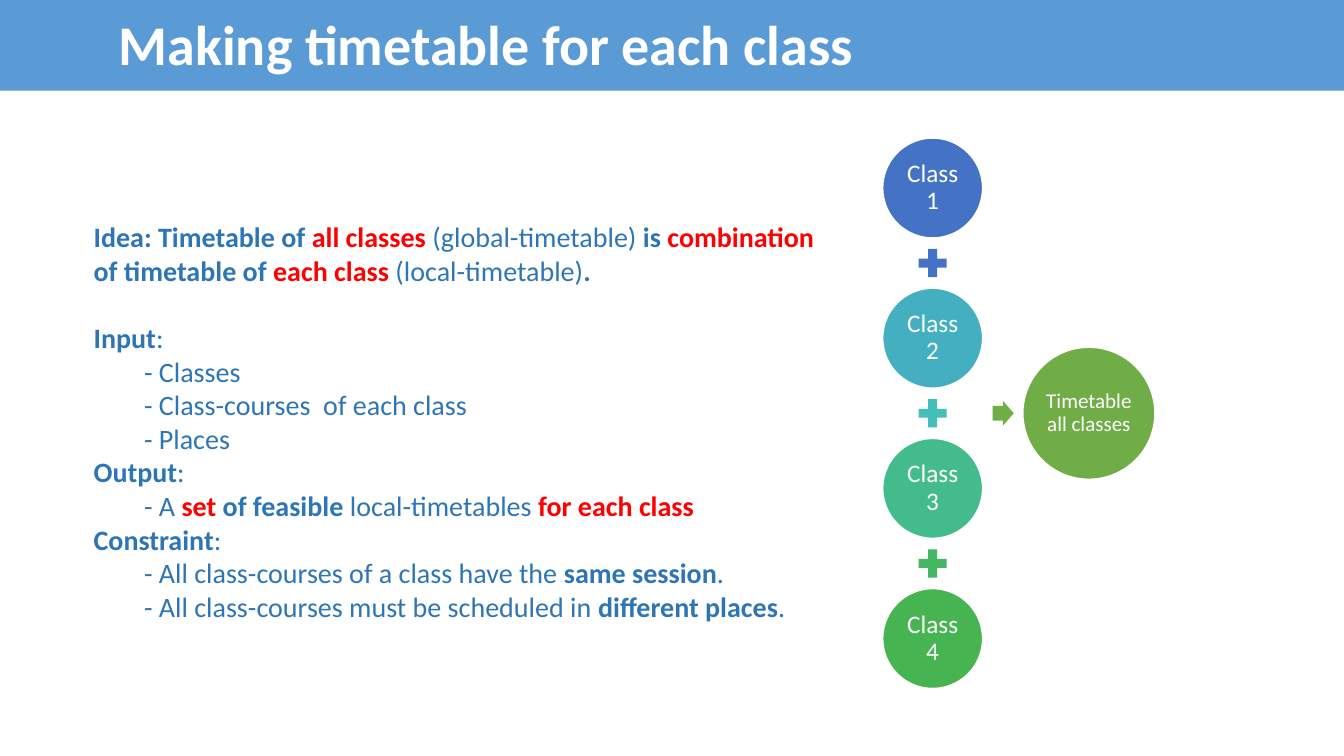
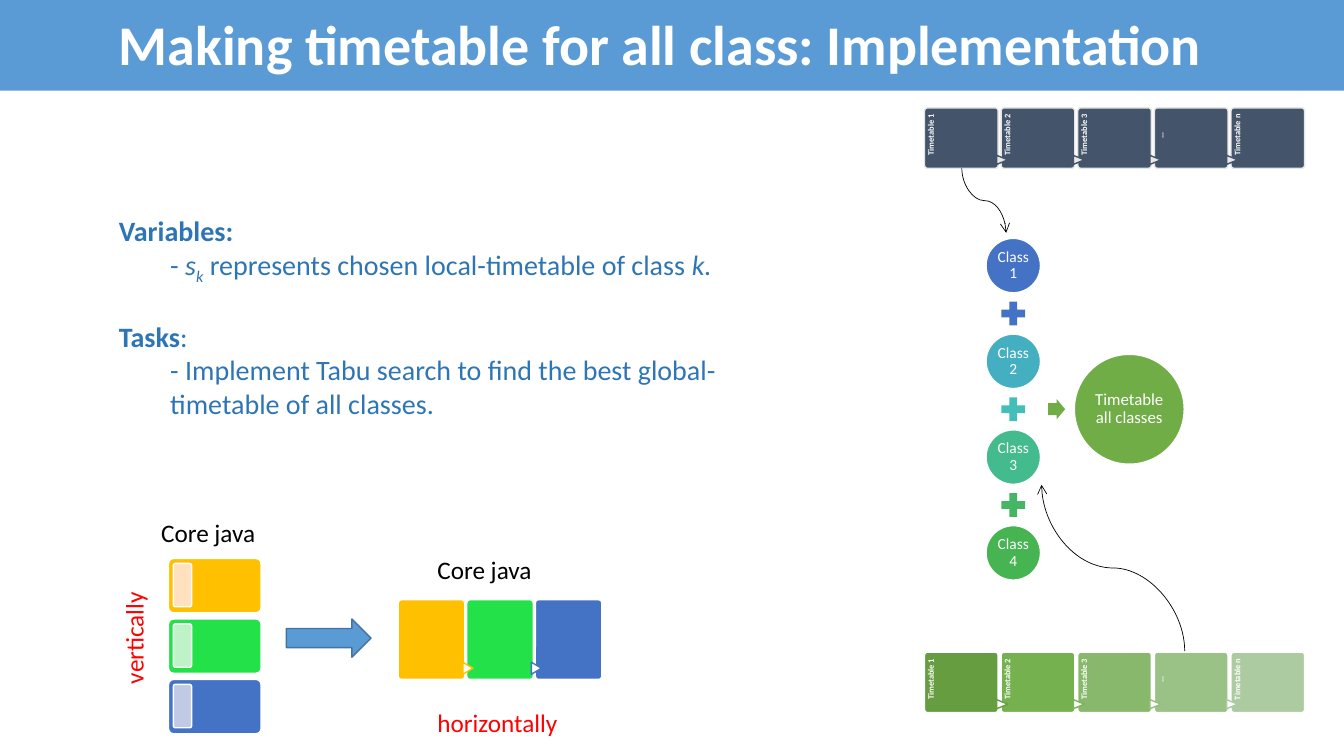
from lxml.etree import SubElement
from pptx import Presentation
from pptx.dml.color import RGBColor
from pptx.enum.shapes import MSO_CONNECTOR, MSO_SHAPE
from pptx.enum.text import MSO_ANCHOR, PP_ALIGN
from pptx.oxml.ns import qn
from pptx.util import Inches, Pt

FONT = "Calibri"
BAND, INK, RED, WHITE, BLACK = "5B9BD5", "2E75B6", "FF0000", "FFFFFF", "000000"
AMBER, LIME, BLUE, GREEN = "FFC000", "23E148", "4472C4", "70AD47"
SLATE, SILVER = "44546A", "E7E6E6"

# Run styles: b bold, i italic, r red, s subscript. Paragraph: indent, space before, runs.
IDEA = [
    (0, 0, [("Idea: Timetable of ", "b"), ("all classes ", "br"), ("(global-timetable)", ""),
            (" is ", "b"), ("combination", "br"), (" of timetable of ", "b"),
            ("each class ", "br"), ("(local-timetable)", ""), (".", "b")]),
    (0, 24, [("Input", "b"), (":", "")]),
    (0.5, 0, [("- Classes", "")]),
    (0.5, 0, [("- Class-courses  of each class", "")]),
    (0.5, 0, [("- Places", "")]),
    (0, 0, [("Output", "b"), (":", "")]),
    (0.5, 0, [("- A ", ""), ("set", "br"), (" of feasible ", "b"),
              ("local-timetables ", ""), ("for each class", "br")]),
    (0, 0, [("Constraint", "b"), (":", "")]),
    (0.5, 0, [("- All class-courses of a class have the ", ""), ("same session", "b"), (".", "")]),
    (0.5, 0, [("- All class-courses must be scheduled in ", ""),
              ("different places", "b"), (".", "")]),
]
SEARCH = [
    (0, 0, [("Variables:", "b")]),
    (0.51, 0, [("- ", ""), ("s", "i"), ("k", "is"),
               (" represents chosen local-timetable of class ", ""), ("k.", "i")]),
    (0, 24, [("Tasks", "b"), (":", "")]),
    (0.51, 0, [("- Implement Tabu search to find the best "
                "global-timetable of all classes.", "")]),
]
CLASSES = [("Class 1", BLUE), ("Class 2", "43AFC0"), ("Class 3", "43BB8D"), ("Class 4", "45B451")]
PLUSES = [BLUE, "43BEB9", "45B664"]
CARDS = [(AMBER, "FFE2BD"), (LIME, "BDF3C6"), (BLUE, "C1CAE4")]
TIMETABLES = ["Timetable 1", "Timetable 2", "Timetable 3", "…", "Timetable n"]
GREENS = ["669D40", "75B14F", "87B86B", "9AC186", "ADCBA0"]
GREEN_MARKS = ["669D40", "7BB459", "94BE7D", "ADCBA0"]


def rgb(color):
    return RGBColor.from_string(color)


def shape(s, kind, x, y, w, h, fill, line=None, width=1, adj=()):
    sp = s.shapes.add_shape(kind, Inches(x), Inches(y), Inches(w), Inches(h))
    sp.shadow.inherit = False
    sp.fill.solid()
    sp.fill.fore_color.rgb = rgb(fill)
    if line:
        sp.line.color.rgb = rgb(line)
        sp.line.width = Pt(width)
    else:
        sp.line.fill.background()
    for i, value in enumerate(adj):
        sp.adjustments[i] = value
    return sp


def centred(s, kind, cx, cy, w, h, fill, line=None, adj=()):
    return shape(s, kind, cx - w / 2, cy - h / 2, w, h, fill, line, adj=adj)


def insets(tf, left, top, right, bottom):
    tf.margin_left, tf.margin_top = Inches(left), Inches(top)
    tf.margin_right, tf.margin_bottom = Inches(right), Inches(bottom)


def style(p, size, color, bold=False, align=PP_ALIGN.LEFT):
    p.alignment = align
    p.font.name, p.font.size, p.font.bold = FONT, Pt(size), bold
    p.font.color.rgb = rgb(color)


def textbox(s, x, y, w, h):
    tb = s.shapes.add_textbox(Inches(x), Inches(y), Inches(w), Inches(h))
    tb.text_frame.word_wrap = True
    return tb


def label(s, text, x, y, w, h, size, color, bold=False, align=PP_ALIGN.LEFT, turn=0):
    tb = textbox(s, x, y, w, h)
    tb.rotation = turn
    p = tb.text_frame.paragraphs[0]
    p.text = text
    style(p, size, color, bold, align)
    return tb.text_frame


def body(s, x, y, w, h, paragraphs):
    tf = textbox(s, x, y, w, h).text_frame
    for i, (indent, before, runs) in enumerate(paragraphs):
        p = tf.add_paragraph() if i else tf.paragraphs[0]
        style(p, 20, INK)
        p.space_before = Pt(before)
        p._p.get_or_add_pPr().set("marL", str(Inches(indent)))
        for text, marks in runs:
            r = p.add_run()
            r.text = text
            if "b" in marks:
                r.font.bold = True
            if "i" in marks:
                r.font.italic = True
            if "r" in marks:
                r.font.color.rgb = rgb(RED)
            if "s" in marks:
                r._r.get_or_add_rPr().set("baseline", "-25000")


def new_slide(prs, title):
    s = prs.slides.add_slide(prs.slide_layouts[6])
    tf = shape(s, MSO_SHAPE.RECTANGLE, 0, 0, 13.33, 0.9, BAND).text_frame
    insets(tf, 1.18, 0, 0, 0.04)
    tf.vertical_anchor = MSO_ANCHOR.MIDDLE
    tf.text = title
    style(tf.paragraphs[0], 40, WHITE, True)
    return s


def disc(s, cx, cy, d, text, fill, size):
    tf = centred(s, MSO_SHAPE.OVAL, cx, cy, d, d, fill, WHITE).text_frame
    insets(tf, 0.02, 0.02, 0.02, 0.02)
    tf.word_wrap = True
    tf.vertical_anchor = MSO_ANCHOR.MIDDLE
    tf.text = text
    p = tf.paragraphs[0]
    style(p, size, WHITE, align=PP_ALIGN.CENTER)
    p.line_spacing = 0.9


def class_sum(s, cx, cy, pitch, d, size, plus, arrow, total):
    top = cy - pitch * (len(CLASSES) - 1) / 2
    for i, (text, fill) in enumerate(CLASSES):
        disc(s, cx, top + i * pitch, d, text, fill, size)
    for i, fill in enumerate(PLUSES):
        centred(s, MSO_SHAPE.MATH_PLUS, cx, top + (i + 0.5) * pitch, plus, plus, fill)
    ax, aw, ah = arrow
    centred(s, MSO_SHAPE.RIGHT_ARROW, ax, cy, aw, ah, GREEN, adj=(0.6, 0.5))
    tx, td, tsize = total
    disc(s, tx, cy, td, "Timetable all classes", GREEN, tsize)


def strip(s, x, y, pitch, w, h, fills, line, marks, mark_size, labels=()):
    for i, fill in enumerate(fills):
        left = x + i * pitch
        shape(s, MSO_SHAPE.ROUNDED_RECTANGLE, left, y, w, h, fill, line, adj=(0.05,))
        if labels:
            tf = label(s, labels[i], left - 0.17, y + 0.18, 0.49, 0.15, 6, WHITE, True,
                       PP_ALIGN.CENTER, 270)
            insets(tf, 0, 0.02, 0.03, 0)
            tf.paragraphs[0].line_spacing = 0.9
        if i:
            mark = centred(s, MSO_SHAPE.FLOWCHART_EXTRACT, left + 0.01, y + 0.86 * h,
                           *mark_size, line, marks[i - 1])
            mark.rotation = 90


def curve(s, x1, y1, x2, y2):
    cx, cy = (x1 + x2) / 2, (y1 + y2) / 2
    ends = [(cx + cy - y, cy + x - cx) for x, y in ((x1, y1), (x2, y2))]
    c = s.shapes.add_connector(MSO_CONNECTOR.CURVE, *[Inches(v) for end in ends for v in end])
    c.line.color.rgb = rgb(BLACK)
    c.line.width = Pt(0.5)
    sp_pr = c._element.spPr
    sp_pr.find(qn("a:xfrm")).set("rot", str(270 * 60000))
    SubElement(sp_pr.find(qn("a:ln")), qn("a:tailEnd"), type="arrow")
    SubElement(sp_pr, qn("a:effectLst"))


def each_class(prs):
    s = new_slide(prs, "Making timetable for each class")
    body(s, 0.83, 2.13, 7.52, 4.48, IDEA)
    class_sum(s, 9.25, 4.1, 1.49, 0.99, 18, 0.38, (9.95, 0.21, 0.24), (10.8, 1.31, 15))


def all_classes(prs):
    s = new_slide(prs, "Making timetable for all class: Implementation")
    body(s, 1.08, 2.07, 6.81, 2.12, SEARCH)

    for i, (fill, tint) in enumerate(CARDS):
        y = 5.54 + i * 0.6
        for x, top, w, h, color in ((1.67, y, 0.92, 0.54, fill),
                                    (1.72, y + 0.05, 0.18, 0.43, tint)):
            shape(s, MSO_SHAPE.ROUNDED_RECTANGLE, x, top, w, h, color, WHITE, adj=(0.1,))
    strip(s, 3.95, 5.95, 0.68, 0.66, 0.79, [fill for fill, _ in CARDS], WHITE,
          [AMBER, BLUE], (0.12, 0.1))
    shape(s, MSO_SHAPE.RIGHT_ARROW, 2.84, 6.14, 0.84, 0.38, BAND, "43739E")
    label(s, "horizontally", 4.24, 6.97, 1.49, 0.4, 18, RED)
    label(s, "vertically", 0.73, 6.08, 1.29, 0.5, 18, RED, align=PP_ALIGN.CENTER, turn=270)
    for x, y in ((1.5, 5.08), (4.24, 5.45)):
        label(s, "Core java", x, y, 1.2, 0.4, 18, BLACK)

    class_sum(s, 10.05, 4.06, 0.95, 0.54, 11, 0.32, (10.48, 0.17, 0.2), (11.2, 1.09, 12))
    for y, fills, line, marks in ((1.07, [SLATE] * 5, SILVER, [SLATE] * 4),
                                  (6.47, GREENS, WHITE, GREEN_MARKS)):
        strip(s, 9.17, y, 0.76, 0.73, 0.6, fills, line, marks, (0.09, 0.11), TIMETABLES)
    curve(s, 9.54, 1.67, 9.98, 2.31)
    curve(s, 11.75, 6.46, 10.33, 4.81)


def main():
    prs = Presentation()
    prs.slide_width, prs.slide_height = Inches(13.33), Inches(7.5)
    each_class(prs)
    all_classes(prs)
    prs.save("out.pptx")


if __name__ == "__main__":
    main()
